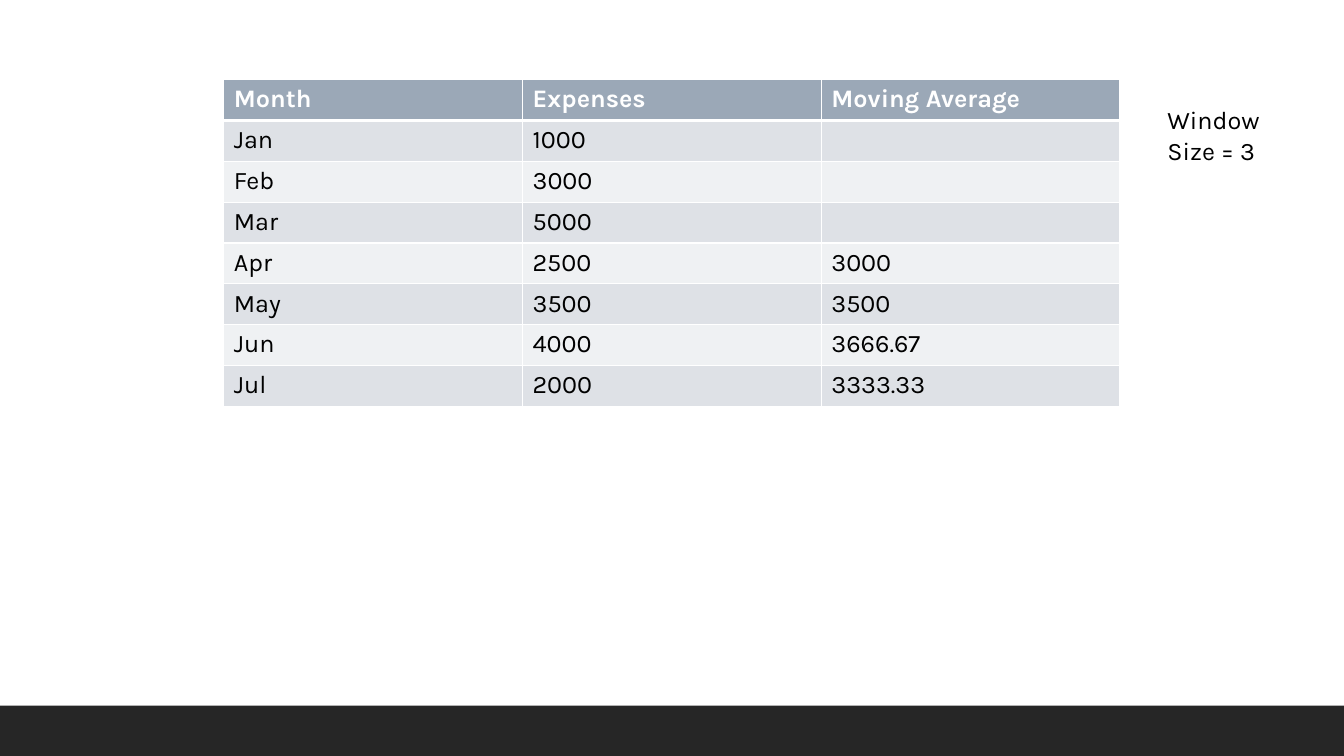
import pptx
import pptx.util
import pptx.dml.color
import pptx.enum.shapes
import lxml.etree
from pptx.oxml.ns import qn

Inches = pptx.util.Inches
Pt = pptx.util.Pt
RGBColor = pptx.dml.color.RGBColor

# Content
ROWS = [
    ("Month", "Expenses", "Moving Average"),
    ("Jan", "1000", ""),
    ("Feb", "3000", ""),
    ("Mar", "5000", ""),
    ("Apr", "2500", "3000"),
    ("May", "3500", "3500"),
    ("Jun", "4000", "3666.67"),
    ("Jul", "2000", "3333.33"),
]
NOTE = "Window Size = 3"

# Style
FONT = "Karla"
WHITE = RGBColor(0xFF, 0xFF, 0xFF)
BLACK = RGBColor(0x00, 0x00, 0x00)
DARK = RGBColor(0x26, 0x26, 0x26)
HEAD = RGBColor(0x9B, 0xA8, 0xB7)
BANDS = (RGBColor(0xEF, 0xF1, 0xF3), RGBColor(0xDE, 0xE1, 0xE6))


def write(frame, text, color, bold=False):
    run = frame.paragraphs[0].add_run()
    run.text = text
    run.font.name = FONT
    run.font.size = Pt(18)
    run.font.bold = bold
    run.font.color.rgb = color


def border(cell, side, width):
    props = cell._tc.get_or_add_tcPr()
    line = lxml.etree.SubElement(props, qn("a:ln" + side), w=str(Pt(width)))
    fill = lxml.etree.SubElement(line, qn("a:solidFill"))
    lxml.etree.SubElement(fill, qn("a:srgbClr"), val=str(WHITE))


deck = pptx.Presentation()
deck.slide_width = Inches(13.33)
deck.slide_height = Inches(7.5)
slide = deck.slides.add_slide(deck.slide_layouts[6])

# Footer band
band = slide.shapes.add_shape(
    pptx.enum.shapes.MSO_SHAPE.RECTANGLE,
    0, Inches(7), deck.slide_width, Inches(0.5))
band.shadow.inherit = False
band.fill.solid()
band.fill.fore_color.rgb = DARK
band.line.fill.background()

# Expenses table
table = slide.shapes.add_table(
    len(ROWS), len(ROWS[0]),
    Inches(2.22), Inches(0.79), Inches(8.89), Inches(3.24)).table
for r, row in enumerate(ROWS):
    top = r == 0
    for c, text in enumerate(row):
        cell = table.cell(r, c)
        # The rule under the header is thicker than the rest
        widths = {"L": 1, "R": 1, "T": 3 if r == 1 else 1, "B": 3 if top else 1}
        for side, width in widths.items():
            border(cell, side, width)
        cell.fill.solid()
        cell.fill.fore_color.rgb = HEAD if top else BANDS[r % 2]
        if text:
            write(cell.text_frame, text, WHITE if top else BLACK, top)

# Window size note
note = slide.shapes.add_textbox(
    Inches(11.48), Inches(0.99), Inches(1.24), Inches(0.71))
note.text_frame.word_wrap = True
write(note.text_frame, NOTE, BLACK)

deck.save("out.pptx")
